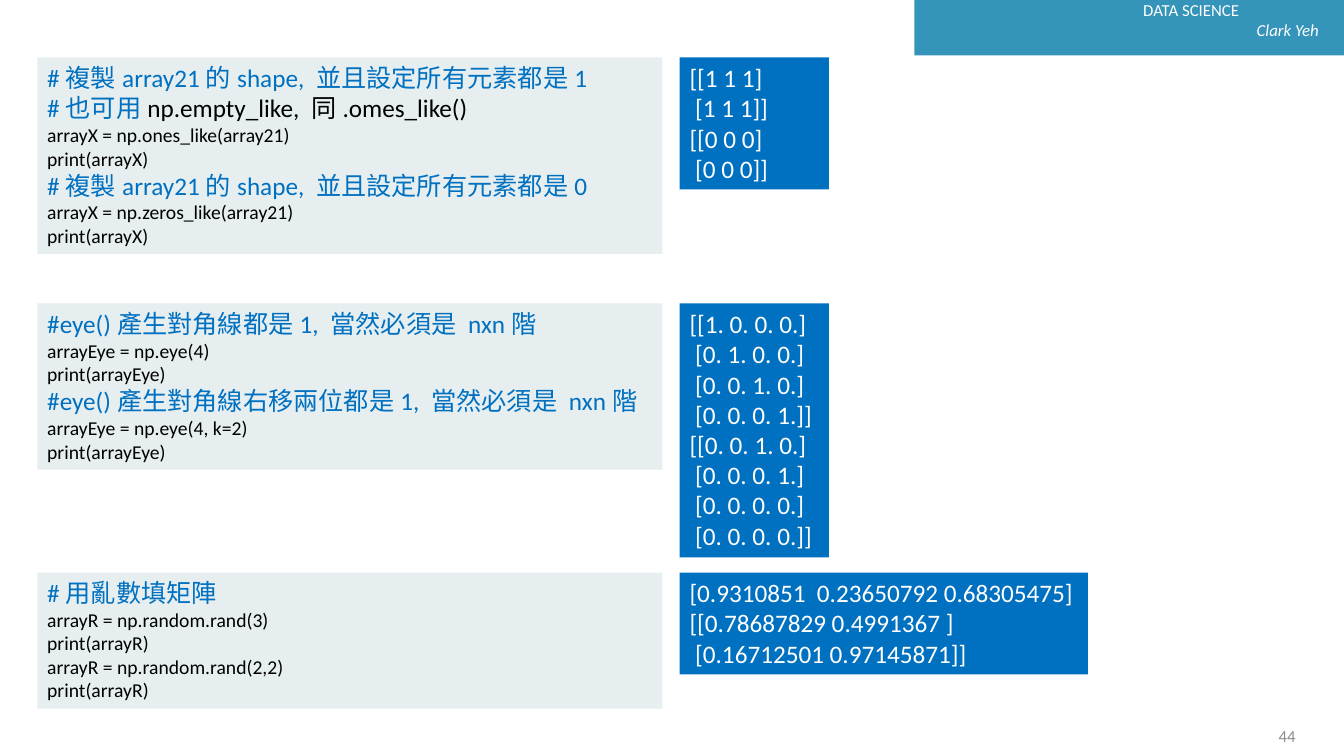
import pptx
import pptx.util
import pptx.dml.color
import pptx.enum.text
import pptx.enum.shapes

Inches = pptx.util.Inches
ALIGN = pptx.enum.text.PP_ALIGN
ANCHOR = pptx.enum.text.MSO_ANCHOR
BLUE, BLACK, WHITE, PALE = "0070C0", "000000", "FFFFFF", "E6EEF0"


def color(value):
    return pptx.dml.color.RGBColor.from_string(value)


def add_text(page, lines, left, top, width, height, fill=None, size=18, ink=WHITE,
             anchor=ANCHOR.TOP, align=ALIGN.LEFT):
    box = page.shapes.add_textbox(Inches(left), Inches(top), Inches(width), Inches(height))
    if fill:
        box.fill.solid()
        box.fill.fore_color.rgb = color(fill)
    frame = box.text_frame
    frame.word_wrap = True
    frame.vertical_anchor = anchor
    for index, line in enumerate(lines):
        para = frame.paragraphs[0] if index == 0 else frame.add_paragraph()
        para.alignment = align
        spans = [(line, size, ink)] if isinstance(line, str) else line
        for words, points, shade in spans:
            span = para.add_run()
            span.text = words
            span.font.name = "Calibri"
            span.font.size = pptx.util.Pt(points)
            span.font.color.rgb = color(shade)
    return box


deck = pptx.Presentation()
deck.slide_width, deck.slide_height = Inches(13.33), Inches(7.5)
page = deck.slides.add_slide(deck.slide_layouts[6])

banner = page.shapes.add_shape(pptx.enum.shapes.MSO_SHAPE.RECTANGLE,
                               Inches(9.07), 0, Inches(4.27), Inches(0.55))
banner.shadow.inherit = False
banner.fill.solid()
banner.fill.fore_color.rgb = color("3494BA")
banner.line.fill.background()

header = add_text(page, ["DATA SCIENCE", "Clark Yeh"], 11.24, -0.05, 2.11, 0.5, size=12)
header.text_frame.margin_right = Inches(0.27)
author = header.text_frame.paragraphs[1]
author.alignment = ALIGN.RIGHT
author.runs[0].font.italic = True

add_text(page, ["44"], 9.95, 7.1, 3, 0.4, size=12, ink="8C8C8C",
         anchor=ANCHOR.MIDDLE, align=ALIGN.RIGHT)

examples = [
    (0.57, 1.95, [
        "#複製array21的shape, 並且設定所有元素都是1",
        [("#也可用", 18, BLUE), ("np.empty_like, 同.omes_like()", 18, BLACK)],
        "arrayX = np.ones_like(array21)",
        "print(arrayX)",
        "#複製array21的shape, 並且設定所有元素都是0",
        "arrayX = np.zeros_like(array21)",
        "print(arrayX)",
    ], 1.48, 1.31, ["[[1 1 1]", " [1 1 1]]", "[[0 0 0]", " [0 0 0]]"]),
    (3.01, 1.65, [
        "#eye()產生對角線都是1, 當然必須是 nxn階",
        "arrayEye = np.eye(4)",
        "print(arrayEye)",
        "#eye()產生對角線右移兩位都是1, 當然必須是 nxn階",
        "arrayEye = np.eye(4, k=2)",
        "print(arrayEye)",
    ], 1.48, 2.52, [
        "[[1. 0. 0. 0.]", " [0. 1. 0. 0.]", " [0. 0. 1. 0.]", " [0. 0. 0. 1.]]",
        "[[0. 0. 1. 0.]", " [0. 0. 0. 1.]", " [0. 0. 0. 0.]", " [0. 0. 0. 0.]]",
    ]),
    (5.68, 1.35, [
        "#用亂數填矩陣",
        "arrayR = np.random.rand(3)",
        "print(arrayR)",
        "arrayR = np.random.rand(2,2)",
        "print(arrayR)",
    ], 4.05, 1.01, [
        "[0.9310851  0.23650792 0.68305475]",
        "[[0.78687829 0.4991367 ]",
        " [0.16712501 0.97145871]]",
    ]),
]

for top, code_height, code, output_width, output_height, output in examples:
    styled = []
    for line in code:
        if isinstance(line, str):
            line = [(line, 18, BLUE) if line.startswith("#") else (line, 14, BLACK)]
        styled.append(line)
    add_text(page, styled, 0.37, top, 6.2, code_height, fill=PALE)
    add_text(page, output, 6.74, top, output_width, output_height, fill=BLUE)

deck.save("out.pptx")
